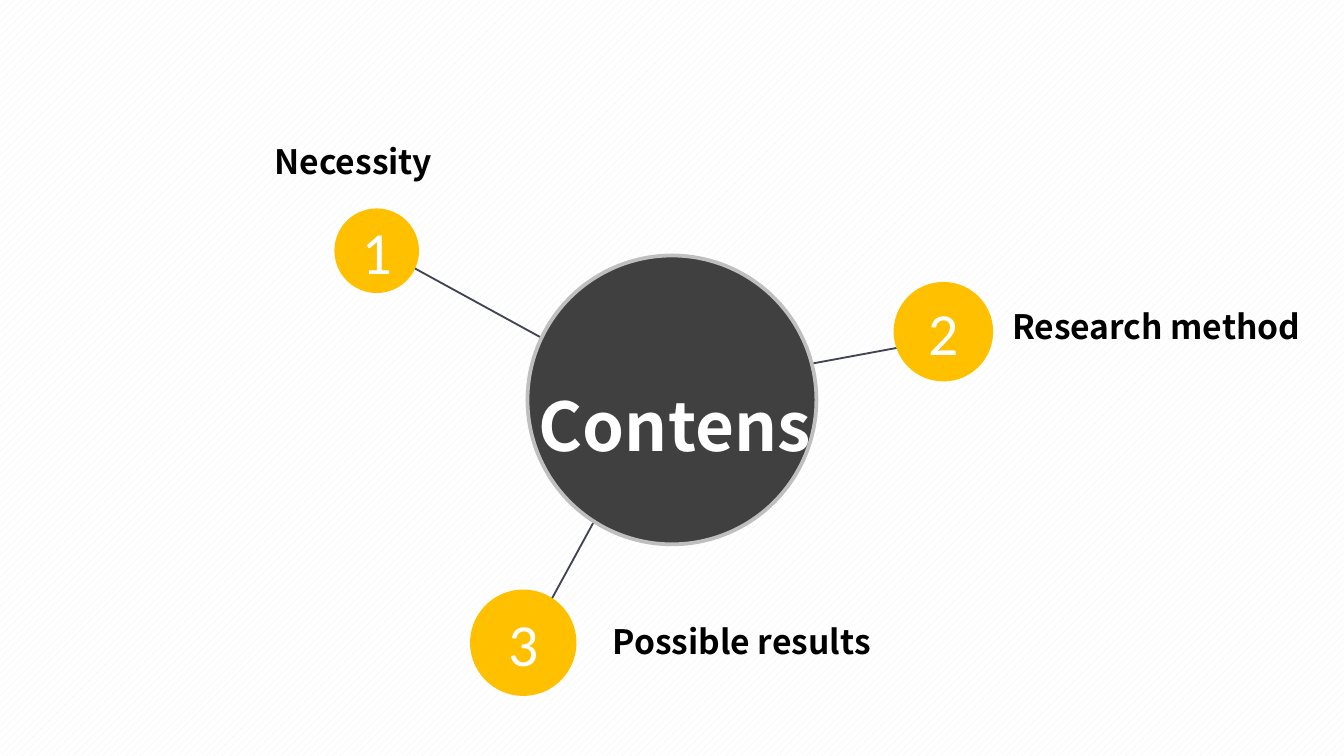
from lxml import etree
from pptx import Presentation
from pptx.dml.color import RGBColor
from pptx.enum.dml import MSO_PATTERN
from pptx.enum.shapes import MSO_CONNECTOR, MSO_SHAPE
from pptx.enum.text import MSO_ANCHOR, MSO_AUTO_SIZE, PP_ALIGN
from pptx.oxml.ns import qn
from pptx.util import Cm, Pt

STRIPES = MSO_PATTERN.WIDE_UPWARD_DIAGONAL
LINE = MSO_CONNECTOR.STRAIGHT
OVAL = MSO_SHAPE.OVAL
MIDDLE = MSO_ANCHOR.MIDDLE
GROW = MSO_AUTO_SIZE.SHAPE_TO_FIT_TEXT
LEFT, CENTER = PP_ALIGN.LEFT, PP_ALIGN.CENTER

HEAD = "Noto Sans CJK SC"
HUB = (12.7, 7.56)
TOPICS = [
    {"name": "Necessity", "mid": (7.12, 4.74), "size": 1.6,
     "ends": (10.59, 6.58, 7.67, 4.98), "box": (4.9, 2.54, 3.56, 1.02), "align": CENTER},
    {"name": "Research method ", "mid": (17.83, 6.27), "size": 1.88,
     "ends": (13.79, 7.16, 18.01, 6.38), "box": (18.8, 5.66, 6.25, 1.02), "align": CENTER},
    {"name": "Possible results", "mid": (9.89, 12.15), "size": 2.01,
     "ends": (11.71, 8.97, 10.16, 11.81), "box": (11.33, 11.61, 5.44, 1.02), "align": LEFT},
]


def color(code):
    """Turn a hex string into a colour."""
    return RGBColor.from_string(code)


def write(frame, text, size=18, face=HEAD, ink="000000", bold=True, align=CENTER):
    """Put one formatted paragraph into a text frame."""
    para = frame.paragraphs[0]
    para.alignment = align
    run = para.add_run()
    run.text = text
    run.font.name = face
    run.font.size = Pt(size)
    run.font.bold = bold
    run.font.color.rgb = color(ink)


def label(slide, box, text, **style):
    """Add an unwrapped text box that grows with its text."""
    frame = slide.shapes.add_textbox(*map(Cm, box)).text_frame
    frame.word_wrap = False
    frame.auto_size = GROW
    write(frame, text, **style)


def disc(slide, mid, size, fill, edge=None):
    """Add a circle around its centre point."""
    left, top = (value - size / 2 for value in mid)
    shape = slide.shapes.add_shape(OVAL, Cm(left), Cm(top), Cm(size), Cm(size))
    shape.shadow.inherit = False
    shape.fill.solid()
    shape.fill.fore_color.rgb = color(fill)
    if edge:
        shape.line.color.rgb = color(edge)
        shape.line.width = Pt(2)
    else:
        shape.line.fill.background()
    return shape


def spoke(slide, ends):
    """Add a thin line without a shadow."""
    line = slide.shapes.add_connector(LINE, *map(Cm, ends))
    line.line.color.rgb = color("414455")
    line.line.width = Pt(1)
    etree.SubElement(line._element.spPr, qn("a:effectLst"))


def topic(slide, number, item):
    """Add a spoke, a numbered circle and its label."""
    spoke(slide, item["ends"])
    frame = disc(slide, item["mid"], item["size"], "FFC000").text_frame
    frame.vertical_anchor = MIDDLE
    write(frame, str(number), size=32, face="Calibri", ink="FFFFFF", bold=False)
    label(slide, item["box"], item["name"], align=item["align"])


def paint(slide):
    """Fill the background with pale stripes."""
    fill = slide.background.fill
    fill.patterned()
    fill.pattern = STRIPES
    fill.fore_color.rgb = color("F2F2F2")
    fill.back_color.rgb = color("FFFFFF")


def main():
    """Build and save the contents slide."""
    deck = Presentation()
    deck.slide_width, deck.slide_height = Cm(25.4), Cm(14.29)
    slide = deck.slides.add_slide(deck.slide_layouts[6])
    paint(slide)
    for number, item in enumerate(TOPICS, 1):
        topic(slide, number, item)
    disc(slide, HUB, 5.46, "404040", edge="BFBFBF")
    label(slide, (9.88, 7.14, 5.74, 1.8), "Contens", size=36, ink="FFFFFF")
    deck.save("out.pptx")


if __name__ == "__main__":
    main()
